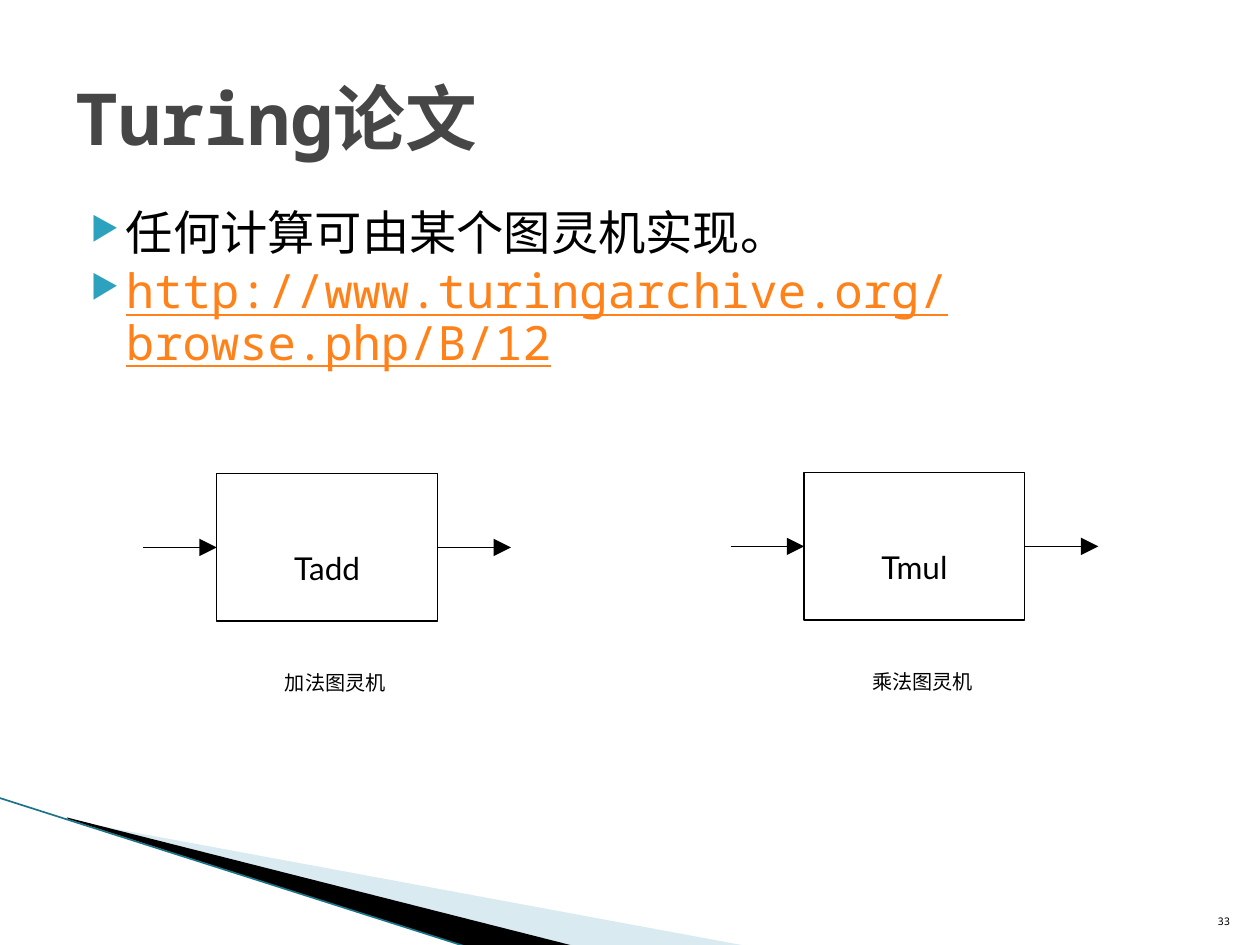
from dataclasses import dataclass

from lxml import etree
from pptx import Presentation
from pptx import util as u
from pptx.dml.color import RGBColor
from pptx.enum import shapes, text
from pptx.oxml.ns import qn


@dataclass(frozen=True)
class Theme:
    ink: str = "000000"
    title: str = "464646"
    link: str = "FF8119"
    bullet: str = "2DA2BF"
    pale_wave: str = "A0CBDC"
    wave_edge: str = "1C7488"
    mono: str = "Noto Sans Mono"
    sans: str = "Lato"
    title_size: float = 41
    body_size: float = 27
    machine_size: float = 18
    caption_size: float = 11.5
    number_size: float = 6
    line_width: float = 0.75


@dataclass(frozen=True)
class Box:
    left: float
    top: float
    width: float
    height: float

    def lengths(self):
        return [u.Cm(v) for v in (self.left, self.top, self.width, self.height)]


@dataclass(frozen=True)
class Machine:
    name: str
    caption: str
    left: float
    top: float


@dataclass(frozen=True)
class Wave:
    points: tuple
    color: str
    opacity: int = 100


THEME = Theme()
BOX_WIDTH, BOX_HEIGHT, ARROW = 4.45, 2.97, 1.48

WAVES = (
    Wave(((1.4, 16.54), (15.11, 19.08), (11.58, 19.08), (1.4, 16.51)), THEME.pale_wave, 40),
    Wave(((1.35, 16.48), (11.61, 19.08), (9.45, 19.1), (1.37, 16.51)), THEME.ink),
)
MACHINES = (
    Machine("Tadd", "加法图灵机", 4.37, 9.55),
    Machine("Tmul", "乘法图灵机", 16.21, 9.53),
)
POINTS = (
    ("任何计算可由某个图灵机实现。", THEME.ink, False),
    ("http://www.turingarchive.org/browse.php/B/12", THEME.link, True),
)


def rgb(color: str) -> RGBColor:
    return RGBColor.from_string(color)


def style(paragraph, size: float, color: str = THEME.ink, name: str = THEME.mono,
          bold: bool = False, underline: bool = False) -> None:
    font = paragraph.font
    font.size, font.name, font.bold = u.Pt(size), name, bold
    font.color.rgb = rgb(color)
    if underline:
        font.underline = True


def add_text(container, box: Box, content: str, size: float, *, align=text.PP_ALIGN.LEFT,
             anchor=text.MSO_ANCHOR.TOP, wrap: bool = True, inset_top: float = 0.13, **font):
    shape = container.shapes.add_textbox(*box.lengths())
    fill_text(shape, content, size, align, anchor, wrap, inset_top, **font)
    return shape


def fill_text(shape, content: str, size: float, align, anchor, wrap: bool,
              inset_top: float, **font) -> None:
    frame = shape.text_frame
    frame.word_wrap, frame.vertical_anchor = wrap, anchor
    frame.margin_top = u.Cm(inset_top)
    paragraph = frame.paragraphs[0]
    paragraph.text, paragraph.alignment = content, align
    style(paragraph, size, **font)


def add_wave(slide, wave: Wave) -> None:
    points = [(u.Cm(x), u.Cm(y)) for x, y in wave.points]
    builder = slide.shapes.build_freeform(*points[0], scale=1.0)
    builder.add_line_segments(points[1:], close=True)
    shape = builder.convert_to_shape()
    shape.shadow.inherit = False
    shape.line.fill.background()
    shape.fill.solid()
    shape.fill.fore_color.rgb = rgb(wave.color)
    if wave.opacity < 100:
        color = shape.fill._xPr.find(".//" + qn("a:srgbClr"))
        etree.SubElement(color, qn("a:alpha"), val=str(wave.opacity * 1000))


def add_line(container, start: tuple, end: tuple, color: str = THEME.ink,
             width: float = THEME.line_width, arrow: bool = False) -> None:
    line = container.shapes.add_connector(
        shapes.MSO_CONNECTOR.STRAIGHT, *(u.Cm(v) for v in start + end))
    line.line.color.rgb = rgb(color)
    line.line.width = u.Pt(width)
    if arrow:
        etree.SubElement(line.line._get_or_add_ln(), qn("a:tailEnd"),
                         type="triangle", w="lg", len="lg")
    etree.SubElement(line._element.spPr, qn("a:effectLst"))


def add_bullet(paragraph) -> None:
    """Give the paragraph a hanging triangle bullet."""
    properties = paragraph._p.get_or_add_pPr()
    properties.set("marL", str(u.Cm(1.02)))
    properties.set("indent", str(-u.Cm(0.71)))
    color = etree.SubElement(properties, qn("a:buClr"))
    etree.SubElement(color, qn("a:srgbClr"), val=THEME.bullet)
    etree.SubElement(properties, qn("a:buSzPct"), val="68000")
    etree.SubElement(properties, qn("a:buChar"), char="▶")


def add_points(slide, box: Box) -> None:
    frame = slide.shapes.add_textbox(*box.lengths()).text_frame
    frame.word_wrap = True
    for index, (content, color, underline) in enumerate(POINTS):
        paragraph = frame.add_paragraph() if index else frame.paragraphs[0]
        paragraph.text = content
        add_bullet(paragraph)
        paragraph.line_spacing = 0.9
        if index:
            paragraph.space_before = u.Pt(4)
        style(paragraph, THEME.body_size, color, underline=underline)


def add_machine(slide, machine: Machine) -> None:
    """Draw a box with an arrow in, an arrow out and a caption."""
    group = slide.shapes.add_group_shape()
    left, top = machine.left, machine.top
    right, middle = left + BOX_WIDTH, top + BOX_HEIGHT / 2
    box = group.shapes.add_shape(shapes.MSO_SHAPE.RECTANGLE,
                                 *Box(left, top, BOX_WIDTH, BOX_HEIGHT).lengths())
    box.shadow.inherit = False
    box.fill.background()
    box.line.color.rgb = rgb(THEME.ink)
    box.line.width = u.Pt(THEME.line_width)
    fill_text(box, machine.name, THEME.machine_size, text.PP_ALIGN.CENTER,
              text.MSO_ANCHOR.MIDDLE, False, 0.95, name=THEME.sans)
    for start in (left - ARROW, right):
        add_line(group, (start, middle), (start + ARROW, middle), arrow=True)
    add_text(group, Box(left + 0.36, top + 3.38, 4.06, 1.12), machine.caption,
             THEME.caption_size, align=text.PP_ALIGN.CENTER, wrap=False,
             inset_top=0.58, name=THEME.sans)


def main() -> None:
    presentation = Presentation()
    presentation.slide_width, presentation.slide_height = u.Cm(25.4), u.Cm(19.05)
    slide = presentation.slides.add_slide(presentation.slide_layouts[6])
    for wave in WAVES:
        add_wave(slide, wave)
    add_line(slide, (-0.03, 16.08), (9.45, 19.1), THEME.wave_edge, 0.95)
    add_points(slide, Box(1.27, 4.11, 22.86, 12.57))
    add_text(slide, Box(1.27, 0.76, 22.86, 3.18), "Turing论文", THEME.title_size,
             anchor=text.MSO_ANCHOR.MIDDLE, color=THEME.title, bold=True)
    for machine in MACHINES:
        add_machine(slide, machine)
    add_text(slide, Box(24.03, 17.81, 1.02, 1.02), "33", THEME.number_size,
             align=text.PP_ALIGN.RIGHT, anchor=text.MSO_ANCHOR.BOTTOM)
    presentation.save("out.pptx")


if __name__ == "__main__":
    main()
